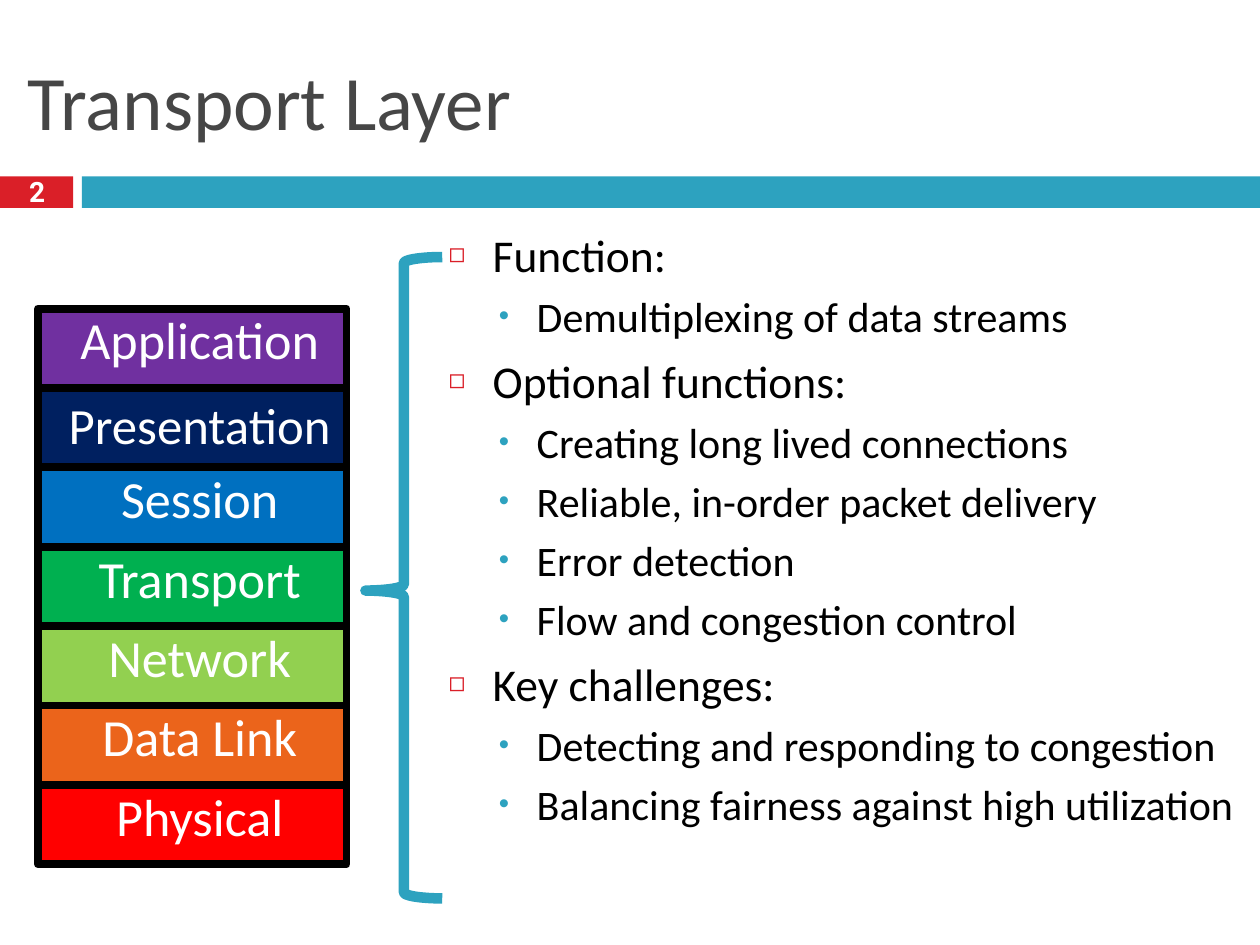
import pptx
import pptx.util
import pptx.dml.color
import pptx.enum.shapes
import pptx.enum.text
import pptx.oxml.ns
import lxml.etree

Inches, Pt = pptx.util.Inches, pptx.util.Pt
RGB = pptx.dml.color.RGBColor
Shape = pptx.enum.shapes.MSO_SHAPE
Align = pptx.enum.text.PP_ALIGN
Anchor = pptx.enum.text.MSO_ANCHOR
Fit = pptx.enum.text.MSO_AUTO_SIZE

RED = RGB(0xDA, 0x1F, 0x28)
TEAL = RGB(0x2D, 0xA2, 0xBF)
GRAY = RGB(0x46, 0x46, 0x46)
BLACK = RGB(0, 0, 0)
WHITE = RGB(0xFF, 0xFF, 0xFF)
PURPLE = RGB(0x70, 0x30, 0xA0)
NAVY = RGB(0x00, 0x20, 0x60)
BLUE = RGB(0x00, 0x70, 0xC0)
GREEN = RGB(0x00, 0xB0, 0x50)
LIME = RGB(0x92, 0xD0, 0x50)
ORANGE = RGB(0xEB, 0x64, 0x1B)
BRIGHT = RGB(0xFF, 0, 0)

LAYERS = [("Application", PURPLE), ("Presentation", NAVY), ("Session", BLUE),
          ("Transport", GREEN), ("Network", LIME), ("Data Link", ORANGE),
          ("Physical", BRIGHT)]
POINTS = [
    ("Function:", ["Demultiplexing of data streams"]),
    ("Optional functions:", ["Creating long lived connections",
                             "Reliable, in-order packet delivery",
                             "Error detection",
                             "Flow and congestion control"]),
    ("Key challenges:", ["Detecting and responding to congestion",
                         "Balancing fairness against high utilization"]),
]
LEVELS = [dict(size=26, before=7, left=0.35, indent=-0.35, bullet=("◻", RED, 60)),
          dict(size=24, before=5, left=0.7, indent=-0.3, bullet=("•", TEAL, 70))]


def mark(props, char, color, scale):
    """Give a paragraph a bullet."""
    def add(parent, tag, **attrs):
        return lxml.etree.SubElement(parent, pptx.oxml.ns.qn(tag), **attrs)
    add(add(props, "a:buClr"), "a:srgbClr", val=str(color))
    add(props, "a:buSzPct", val=str(scale * 1000))
    add(props, "a:buFont", typeface="Arial")
    add(props, "a:buChar", char=char)


def write(para, text, size=24, color=BLACK, font="Calibri", bold=False,
          align=Align.LEFT, before=0, line=1.0, left=0, indent=0, bullet=None):
    """Write one formatted paragraph."""
    run = para.add_run()
    run.text = text
    run.font.size, run.font.name, run.font.bold = Pt(size), font, bold
    run.font.color.rgb = color
    para.alignment, para.line_spacing = align, line
    para.space_before, para.space_after = Pt(before), Pt(0)
    props = para._p.get_or_add_pPr()
    props.set("marL", str(Inches(left)))
    props.set("indent", str(Inches(indent)))
    if bullet:
        mark(props, *bullet)


def place(shape, x, y, w, h):
    """Move and size a shape."""
    shape.left, shape.top = Inches(x), Inches(y)
    shape.width, shape.height = Inches(w), Inches(h)


def frame(shape, anchor=Anchor.TOP, wrap=True):
    """Set up the text frame of a shape."""
    text = shape.text_frame
    text.auto_size, text.word_wrap, text.vertical_anchor = Fit.NONE, wrap, anchor
    text.margin_left = text.margin_right = Inches(0.05)
    text.margin_top = text.margin_bottom = Inches(0.05)
    return text


def block(slide, x, y, w, h, fill, edge=None):
    """Draw a filled rectangle."""
    shape = slide.shapes.add_shape(Shape.RECTANGLE, Inches(x), Inches(y),
                                   Inches(w), Inches(h))
    shape.shadow.inherit = False
    shape.fill.solid()
    shape.fill.fore_color.rgb = fill
    if edge:
        shape.line.color.rgb, shape.line.width = BLACK, Pt(edge)
    else:
        shape.line.fill.background()
    return shape


def header(slide, x, y, w, h):
    """Draw the title, the band and the page number."""
    place(slide.shapes.title, x + 0.17, y + 0.25, w - 0.33, 1.08)
    text = frame(slide.shapes.title, Anchor.MIDDLE)
    write(text.paragraphs[0], "Transport Layer", size=44, color=GRAY)
    band = y + h - 0.25
    block(slide, x, band, 0.58, 0.25, RED)
    block(slide, x + 0.65, band, w - 0.65, 0.25, TEAL)
    page = slide.shapes.add_textbox(Inches(x + 0.18), Inches(band - 0.03),
                                    Inches(0.23), Inches(0.35))
    write(frame(page, Anchor.MIDDLE, False).paragraphs[0], "2", size=16,
          color=WHITE, font="Roboto", bold=True, align=Align.CENTER, line=0.8)


def points(slide, x, y, w, h):
    """Fill the body with the two-level list."""
    body = slide.placeholders[1]
    place(body, x, y, w, h)
    text = frame(body)
    rows = [(row, level) for head, subs in POINTS
            for row, level in [(head, 0)] + [(sub, 1) for sub in subs]]
    for n, (row, level) in enumerate(rows):
        para = text.add_paragraph() if n else text.paragraphs[0]
        para.level = level
        write(para, row, **LEVELS[level])


def stack(slide, x, y, w, h):
    """Draw the layers from top to bottom."""
    step = h / len(LAYERS)
    for n, (name, fill) in enumerate(LAYERS):
        box = block(slide, x, y + n * step, w, step, fill, edge=4.5)
        style = dict(size=29.8, before=7, line=0.9)
        if name == "Presentation":
            style = dict(size=29, before=6)
        write(frame(box).paragraphs[0], name, color=WHITE,
              align=Align.CENTER, indent=0.12, **style)


def brace(slide, x, y, w, h):
    """Draw the brace that points at the transport layer."""
    shape = slide.shapes.add_shape(Shape.LEFT_BRACE, Inches(x), Inches(y),
                                   Inches(w), Inches(h))
    shape.shadow.inherit = False
    shape.fill.background()
    shape.line.color.rgb, shape.line.width = TEAL, Pt(6)
    shape.adjustments[0], shape.adjustments[1] = 0.08, 0.52


def main():
    """Build and save the slide."""
    deck = pptx.Presentation()
    deck.slide_width, deck.slide_height = Inches(10), Inches(7.5)
    slide = deck.slides.add_slide(deck.slide_layouts[1])
    header(slide, 0, 0, 10, 1.65)
    points(slide, 3.51, 1.75, 6.49, 5.58)
    stack(slide, 0.3, 2.45, 2.45, 4.41)
    brace(slide, 2.9, 2.04, 0.61, 5.09)
    deck.save("out.pptx")


main()
